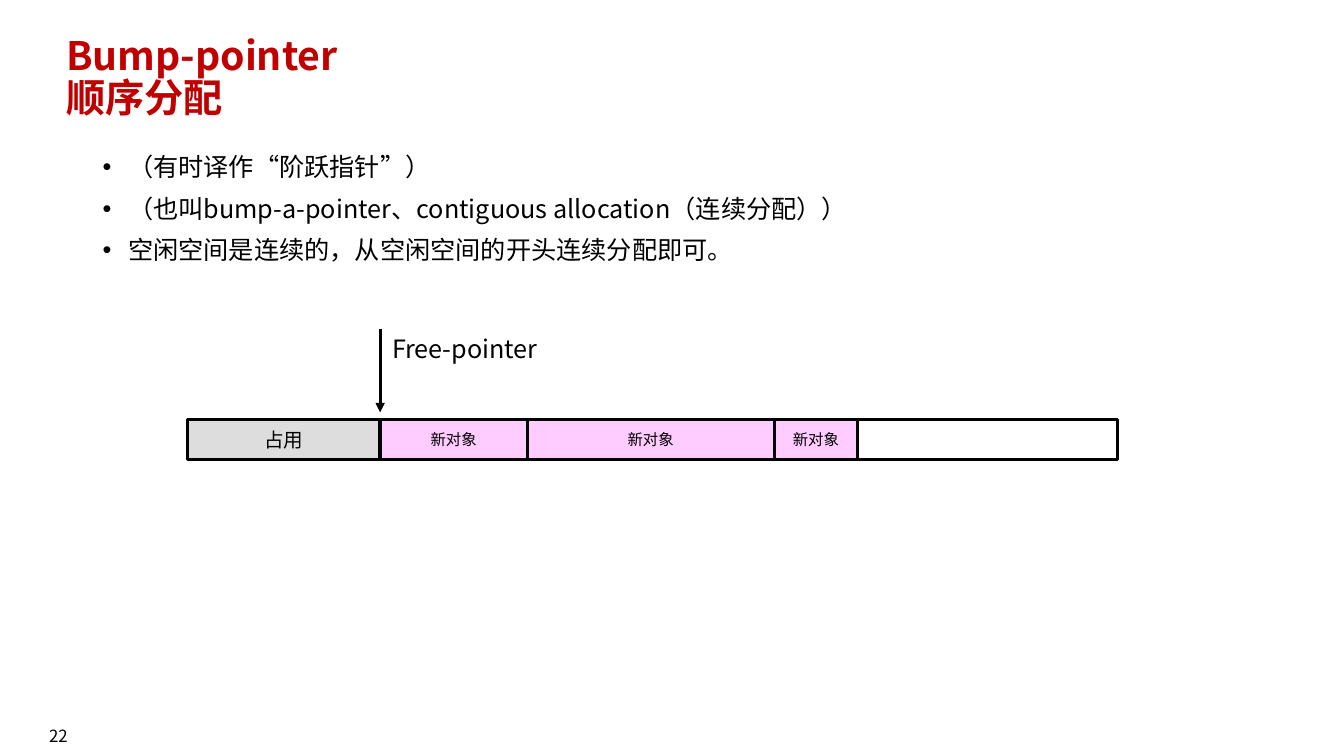
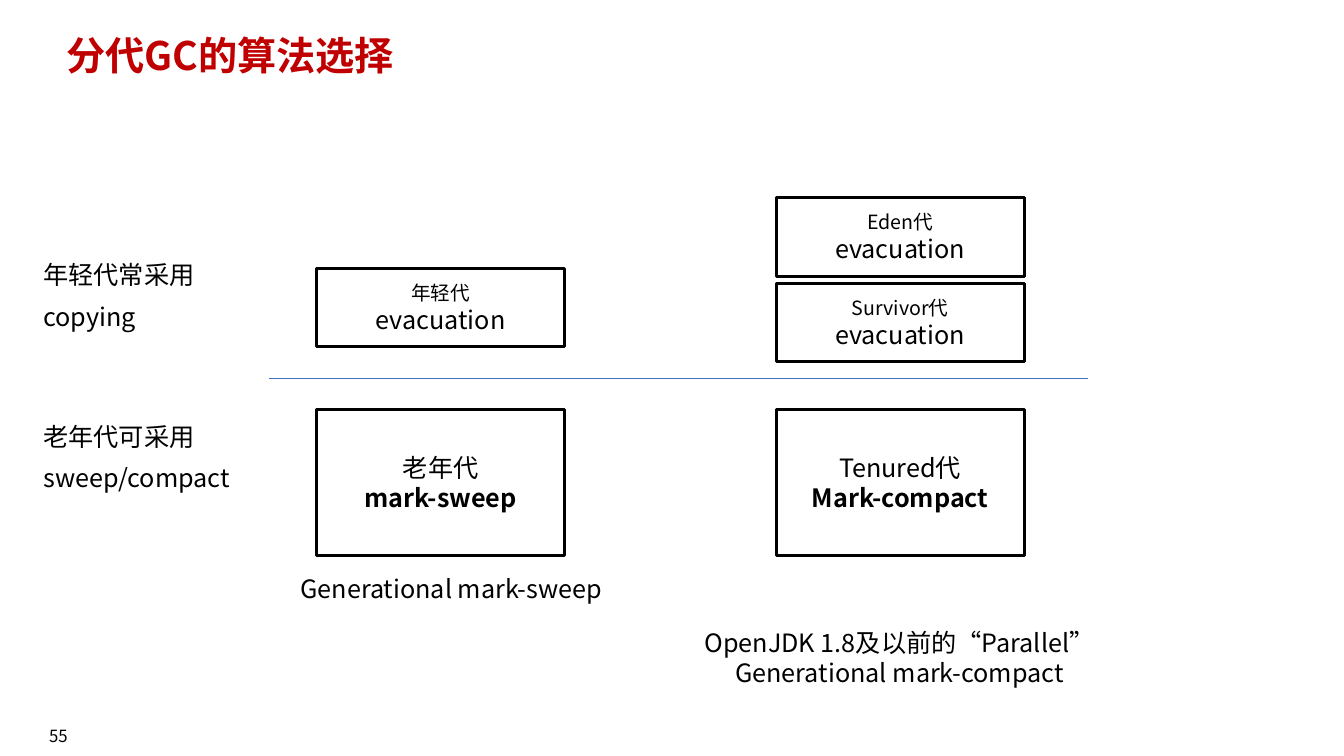
from dataclasses import dataclass
from itertools import accumulate

from lxml.etree import SubElement
from pptx import Presentation
from pptx.dml.color import RGBColor
from pptx.enum.shapes import MSO_CONNECTOR, MSO_SHAPE
from pptx.enum.text import MSO_ANCHOR, PP_ALIGN
from pptx.oxml.ns import qn
from pptx.util import Cm, Pt


@dataclass(frozen=True)
class Theme:
    font: str = "Noto Sans CJK SC"
    ink: str = "000000"
    title: str = "C00000"
    divider: str = "4472C4"
    used: str = "DDDDDD"
    fresh: str = "FFCCFF"
    free: str = "FFFFFF"
    title_size: int = 28
    body_size: int = 18
    label_size: int = 14
    number_size: int = 12
    small_size: int = 11
    outline: float = 2.25
    hairline: float = 0.5


THEME = Theme()
BODY, LABEL, SMALL = THEME.body_size, THEME.label_size, THEME.small_size
PAGE_SIZE = (33.87, 19.05)
TITLE_AREA = (1.42, 0.79, 29.21, 1.65)
NUMBER_AREA = (0, 18.03, 2.95, 1.02)
DEFAULT_INSETS = (0.25, 0.13)
LOOSE = {"line_spacing": 0.9, "space_before": Pt(10)}
CENTRED = {"alignment": PP_ALIGN.CENTER}

BULLET_AREA = (2.34, 3.78, 29.21, 12.09)
BULLETS = [
    "（有时译作“阶跃指针”）",
    "（也叫bump-a-pointer、contiguous allocation（连续分配））",
    "空闲空间是连续的，从空闲空间的开头连续分配即可。",
]
MEMORY_LEFT, MEMORY_TOP, MEMORY_HEIGHT = 4.72, 10.57, 1.02
MEMORY = [
    ("占用", 4.86, THEME.used, LABEL),
    ("新对象", 3.71, THEME.fresh, SMALL),
    ("新对象", 6.22, THEME.fresh, SMALL),
    ("新对象", 2.11, THEME.fresh, SMALL),
    ("", 6.54, THEME.free, SMALL),
]
POINTER_TOP, POINTER_TIP = 8.3, 10.39

SIDE_LEFT, SIDE_WIDTH, SIDE_HEIGHT = 0.84, 5.74, 1.98
SIDE_NOTES = [
    (6.5, ["年轻代常采用", "copying"]),
    (10.57, ["老年代可采用", "sweep/compact"]),
]
BOX_WIDTH, YOUNG_HEIGHT, OLD_HEIGHT, OLD_TOP = 6.25, 1.98, 3.68, 10.31
DIVIDER = (6.78, 27.41, 9.53)
COLLECTORS = [
    {
        "left": 7.98,
        "young": [(6.76, "年轻代")],
        "old": ("老年代", "mark-sweep"),
        "caption": (7.44, 14.45, 7.87, 0.76),
        "names": ["Generational mark-sweep"],
    },
    {
        "left": 19.56,
        "young": [(4.98, "Eden代"), (7.14, "Survivor代")],
        "old": ("Tenured代", "Mark-compact"),
        "caption": (16.94, 15.8, 11.46, 1.55),
        "names": ["OpenJDK 1.8及以前的“Parallel”", "Generational mark-compact"],
    },
]


def colour(value):
    return RGBColor.from_string(value)


def assign(target, values):
    for name, value in values.items():
        setattr(target, name, value)


def add_bullet(para):
    properties = para._p.get_or_add_pPr()
    indent = Cm(0.64)
    properties.set("marL", str(indent))
    properties.set("indent", str(-indent))
    SubElement(properties, qn("a:buFont"), typeface="Arial")
    SubElement(properties, qn("a:buChar"), char="•")


def style_span(span, size, shade, bold):
    assign(span.font, {"name": THEME.font, "size": Pt(size), "bold": bold})
    span.font.color.rgb = colour(shade)
    latin = span._r.rPr.find(qn("a:latin"))
    east_asian = latin.makeelement(qn("a:ea"), {"typeface": THEME.font})
    latin.addnext(east_asian)


def write(box, lines, size=BODY, shade=THEME.ink, bold=False, layout=None,
          insets=DEFAULT_INSETS, anchor=MSO_ANCHOR.TOP, bullets=False):
    frame = box.text_frame
    across, down = Cm(insets[0]), Cm(insets[1])
    assign(frame, {"word_wrap": True, "vertical_anchor": anchor,
                   "margin_left": across, "margin_right": across,
                   "margin_top": down, "margin_bottom": down})
    for index, line in enumerate(lines):
        text, line_size, line_bold = line if isinstance(line, tuple) else (line, size, bold)
        para = frame.paragraphs[0] if index == 0 else frame.add_paragraph()
        if bullets:
            add_bullet(para)
        assign(para, layout or {})
        if index == 0:
            para.space_before = Pt(0)
        for part, piece in enumerate(text.split("\n")):
            if part:
                para.add_line_break()
            span = para.add_run()
            span.text = piece
            style_span(span, line_size, shade, line_bold)


def add_text(page, area, lines, **options):
    box = page.shapes.add_textbox(*map(Cm, area))
    write(box, lines, **options)


def add_box(page, area, lines, fill=THEME.free, size=BODY):
    box = page.shapes.add_shape(MSO_SHAPE.RECTANGLE, *map(Cm, area))
    box.shadow.inherit = False
    box.fill.solid()
    box.fill.fore_color.rgb = colour(fill)
    box.line.color.rgb = colour(THEME.ink)
    box.line.width = Pt(THEME.outline)
    if lines:
        write(box, lines, size=size, layout=CENTRED, anchor=MSO_ANCHOR.MIDDLE)


def add_line(page, ends, shade, width, arrow=False):
    line = page.shapes.add_connector(MSO_CONNECTOR.STRAIGHT, *map(Cm, ends))
    line.line.color.rgb = colour(shade)
    line.line.width = Pt(width)
    if arrow:
        SubElement(line.line._get_or_add_ln(), qn("a:tailEnd"), type="triangle")
    SubElement(line._element.spPr, qn("a:effectLst"))


def add_page(deck, title, number):
    page = deck.slides.add_slide(deck.slide_layouts[6])
    add_text(page, NUMBER_AREA, [number], size=THEME.number_size,
             layout=CENTRED, anchor=MSO_ANCHOR.MIDDLE)
    add_text(page, TITLE_AREA, [title], size=THEME.title_size, shade=THEME.title,
             bold=True, layout={"line_spacing": 0.9})
    return page


def build_allocation(deck):
    page = add_page(deck, "Bump-pointer\n顺序分配", "22")
    add_text(page, BULLET_AREA, BULLETS, layout=LOOSE, bullets=True)
    lefts = list(accumulate((width for _, width, _, _ in MEMORY), initial=MEMORY_LEFT))
    for left, (label, width, fill, size) in zip(lefts, MEMORY):
        add_box(page, (left, MEMORY_TOP, width, MEMORY_HEIGHT),
                [label] if label else [], fill, size)
    pointer = lefts[1]
    add_line(page, (pointer, POINTER_TOP, pointer, POINTER_TIP),
             THEME.ink, THEME.outline, arrow=True)
    add_text(page, (pointer, POINTER_TOP, 4.98, 0.97), ["Free-pointer"], insets=(0.3, 0.1))


def build_generations(deck):
    page = add_page(deck, "分代GC的算法选择", "55")
    for top, lines in SIDE_NOTES:
        add_text(page, (SIDE_LEFT, top, SIDE_WIDTH, SIDE_HEIGHT), lines, layout=LOOSE)
    for collector in COLLECTORS:
        left = collector["left"]
        for top, name in collector["young"]:
            add_box(page, (left, top, BOX_WIDTH, YOUNG_HEIGHT),
                    [(name, LABEL, False), ("evacuation", BODY, False)])
        name, method = collector["old"]
        add_box(page, (left, OLD_TOP, BOX_WIDTH, OLD_HEIGHT),
                [(name, BODY, False), (method, BODY, True)])
        add_text(page, collector["caption"], collector["names"],
                 layout=CENTRED, insets=(0, 0))
    start, end, height = DIVIDER
    add_line(page, (start, height, end, height), THEME.divider, THEME.hairline)


def main():
    deck = Presentation()
    deck.slide_width, deck.slide_height = map(Cm, PAGE_SIZE)
    build_allocation(deck)
    build_generations(deck)
    deck.save("out.pptx")


if __name__ == "__main__":
    main()
